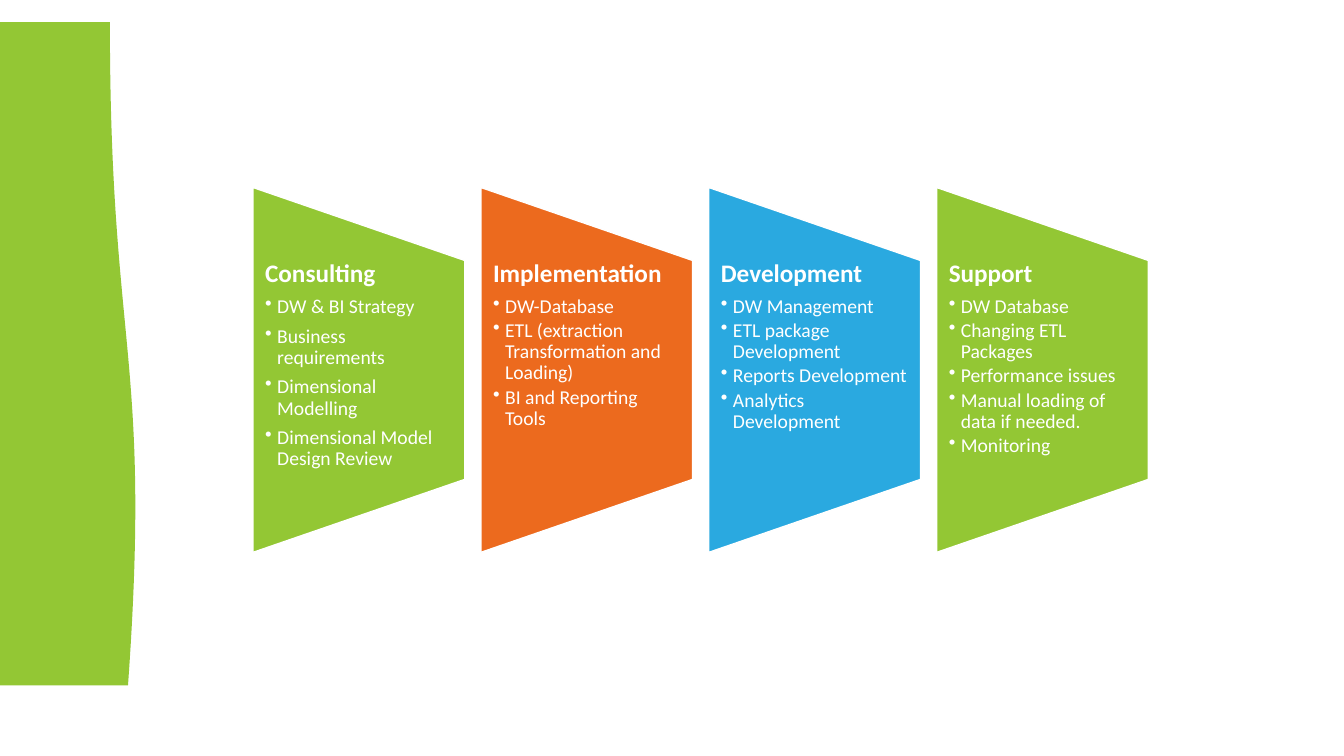
from dataclasses import dataclass

from lxml import etree
from pptx import Presentation
from pptx.dml.color import RGBColor
from pptx.enum import shapes, text
from pptx.oxml import ns
from pptx.util import Inches, Pt


@dataclass(frozen=True)
class Theme:
    green: str = "93C734"
    orange: str = "EC6A1E"
    blue: str = "2AA9E0"
    white: str = "FFFFFF"
    font: str = "Calibri"
    heading_size: int = 18
    item_size: int = 14
    heading_gap: float = 6.3
    item_gap: float = 2.1
    wide_item_gap: float = 6


THEME = Theme()

SERVICES = [
    ("Consulting", THEME.green, THEME.wide_item_gap,
     ["DW & BI Strategy", "Business requirements", "Dimensional Modelling",
      "Dimensional Model Design Review"]),
    ("Implementation", THEME.orange, THEME.item_gap,
     ["DW-Database", "ETL (extraction Transformation and Loading)",
      "BI and Reporting Tools"]),
    ("Development", THEME.blue, THEME.item_gap,
     ["DW Management", "ETL package Development", "Reports Development",
      "Analytics Development"]),
    ("Support", THEME.green, THEME.item_gap,
     ["DW Database", "Changing ETL Packages", "Performance issues",
      "Manual loading of data if needed.", "Monitoring"]),
]


def apply_format(target, values):
    for name, value in values.items():
        setattr(target, name, value)


def add_turned_shape(slide, kind, box, color):
    left, top, width, height = box
    turned_left = left + (width - height) / 2
    turned_top = top + (height - width) / 2
    shape = slide.shapes.add_shape(
        kind, *(Inches(length) for length in (turned_left, turned_top, height, width)))
    shape.rotation = 270
    shape.shadow.inherit = False
    shape.fill.solid()
    shape.fill.fore_color.rgb = RGBColor.from_string(color)
    shape.line.fill.background()
    return shape


def add_line(paragraph, words, size, bold, gap):
    apply_format(paragraph, {"line_spacing": 0.9, "space_after": Pt(gap),
                             "alignment": text.PP_ALIGN.LEFT})
    run = paragraph.add_run()
    run.text = words
    apply_format(run.font, {"name": THEME.font, "size": Pt(size), "bold": bold})
    run.font.color.rgb = RGBColor.from_string(THEME.white)


def add_bullet(paragraph):
    paragraph.level = 1
    properties = paragraph._p.get_or_add_pPr()
    properties.set("marL", str(Inches(0.12)))
    properties.set("indent", str(-Inches(0.12)))
    etree.SubElement(properties, ns.qn("a:buChar")).set("char", "•")


def add_sidebar(slide, box):
    add_turned_shape(slide, shapes.MSO_SHAPE.FLOWCHART_DOCUMENT, box, THEME.green)


def add_service(slide, box, service):
    heading, color, gap, items = service
    left, top, width, height = box
    panel = add_turned_shape(
        slide, shapes.MSO_SHAPE.FLOWCHART_MANUAL_OPERATION, box, color)
    panel.line.color.rgb = RGBColor.from_string(THEME.white)
    panel.line.width = Pt(1)

    caption = slide.shapes.add_textbox(
        Inches(left), Inches(top + height / 5), Inches(width), Inches(height * 0.6))
    frame = caption.text_frame
    apply_format(frame, {"word_wrap": True, "vertical_anchor": text.MSO_ANCHOR.TOP,
                         "margin_left": Inches(0.12), "margin_right": Inches(0.12),
                         "margin_top": 0, "margin_bottom": 0})
    add_line(frame.paragraphs[0], heading, THEME.heading_size, True, THEME.heading_gap)
    for item in items:
        paragraph = frame.add_paragraph()
        add_line(paragraph, item, THEME.item_size, False, gap)
        add_bullet(paragraph)


def add_services(slide, box):
    left, top, width, height = box
    panel_width = 2.1
    pitch = (width - panel_width) / (len(SERVICES) - 1)
    for index, service in enumerate(SERVICES):
        add_service(slide, (left + index * pitch, top, panel_width, height), service)


def main():
    presentation = Presentation()
    apply_format(presentation, {"slide_width": Inches(13.33),
                                "slide_height": Inches(7.5)})
    slide = presentation.slides.add_slide(presentation.slide_layouts[6])
    add_sidebar(slide, (0, 0.22, 1.36, 6.58))
    add_services(slide, (2.51, 1.86, 8.88, 3.62))
    presentation.save("out.pptx")


if __name__ == "__main__":
    main()
